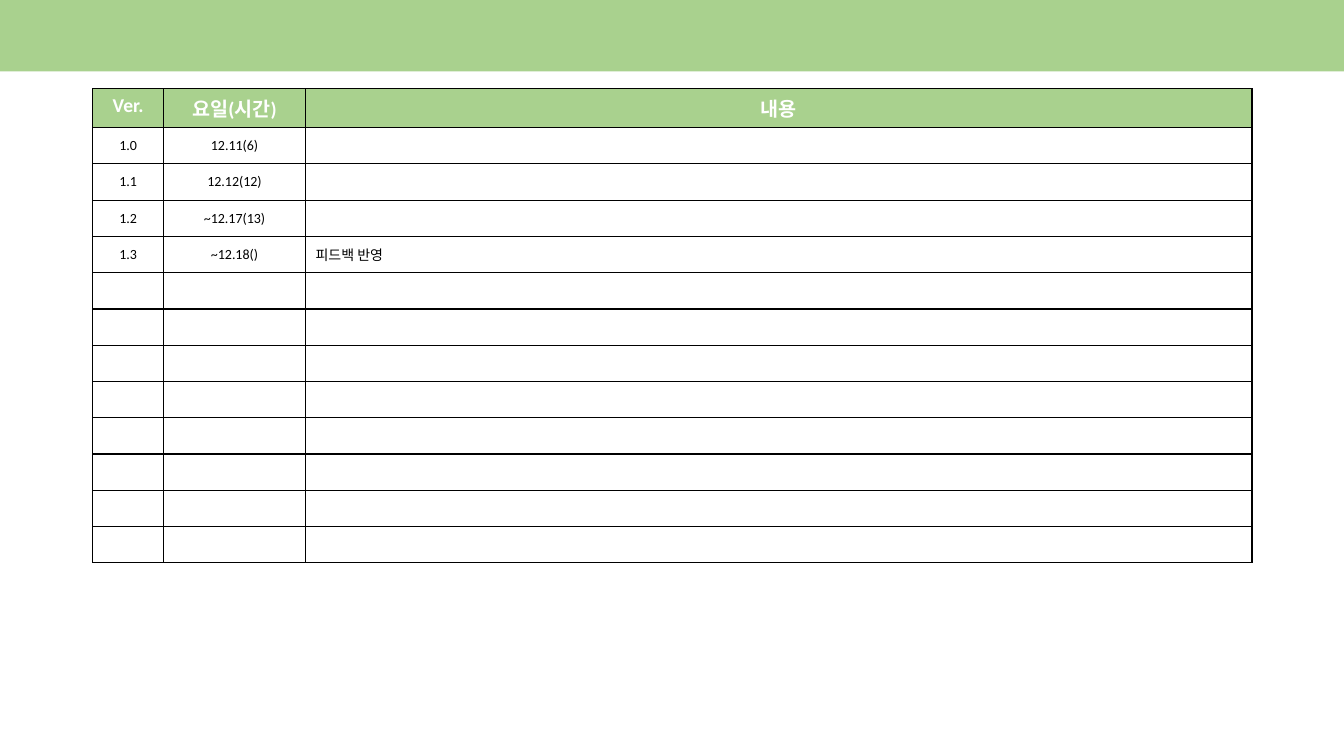
from lxml import etree
from pptx import Presentation
from pptx.dml.color import RGBColor
from pptx.enum.shapes import MSO_SHAPE
from pptx.enum.text import MSO_ANCHOR, PP_ALIGN
from pptx.oxml.ns import qn
from pptx.util import Cm, Pt

RECTANGLE = MSO_SHAPE.RECTANGLE
TOP, MIDDLE = MSO_ANCHOR.TOP, MSO_ANCHOR.MIDDLE
LEFT, CENTER = PP_ALIGN.LEFT, PP_ALIGN.CENTER

COLORS = {"green": "A9D18E", "white": "FFFFFF", "black": "000000"}
FONT = "Calibri"
BLANK_LAYOUT = 6

HEADERS = ("Ver.", "요일(시간)", "내용")
VERSIONS = (
    ("1.0", "12.11(6)", ""),
    ("1.1", "12.12(12)", ""),
    ("1.2", "~12.17(13)", ""),
    ("1.3", "~12.18()", "피드백 반영"),
)
BODY_ROWS = 12
COLUMN_WIDTHS = (1.78, 3.58, 23.85)
HEADER_HEIGHT = Cm(0.97)


def color(name):
    return RGBColor.from_string(COLORS[name])


def add_header_band(slide, left, top, width, height):
    band = slide.shapes.add_shape(RECTANGLE, left, top, width, height)
    band.shadow.inherit = False
    band.fill.solid()
    band.fill.fore_color.rgb = color("green")
    band.line.fill.background()


def add_borders(cell):
    properties = cell._tc.get_or_add_tcPr()
    for side in ("a:lnL", "a:lnR", "a:lnT", "a:lnB"):
        line = etree.SubElement(properties, qn(side), w=str(Pt(1)))
        fill = etree.SubElement(line, qn("a:solidFill"))
        etree.SubElement(fill, qn("a:srgbClr"), val=COLORS["black"])


def format_cell(cell, text, is_header, alignment):
    add_borders(cell)
    cell.fill.solid()
    cell.fill.fore_color.rgb = color("green" if is_header else "white")
    cell.vertical_anchor = TOP if is_header else MIDDLE
    cell.text_frame.text = text
    paragraph = cell.text_frame.paragraphs[0]
    paragraph.alignment = alignment
    size = 14 if is_header else 10
    for run in paragraph.runs:
        run.font.name = FONT
        run.font.size = Pt(size)
        run.font.bold = is_header
        run.font.color.rgb = color("white" if is_header else "black")
    if not text:
        # An empty cell keeps its row low only with a small end mark.
        etree.SubElement(paragraph._p, qn("a:endParaRPr"), sz=str(size * 100))


def add_version_table(slide, left, top, width, height):
    empty_rows = ((("",) * len(HEADERS)),) * (BODY_ROWS - len(VERSIONS))
    rows = (HEADERS,) + VERSIONS + empty_rows
    table = slide.shapes.add_table(
        len(rows), len(HEADERS), left, top, width, height).table
    table.first_row = False
    table.horz_banding = False
    for column, share in zip(table.columns, COLUMN_WIDTHS):
        column.width = int(width * share / sum(COLUMN_WIDTHS))
    body_height = (height - HEADER_HEIGHT) // BODY_ROWS
    for row_index, texts in enumerate(rows):
        is_header = row_index == 0
        table.rows[row_index].height = HEADER_HEIGHT if is_header else body_height
        for column_index, text in enumerate(texts):
            is_content = column_index == len(HEADERS) - 1 and not is_header
            format_cell(table.cell(row_index, column_index), text, is_header,
                        LEFT if is_content else CENTER)


def main():
    presentation = Presentation()
    presentation.slide_width = Cm(33.87)
    presentation.slide_height = Cm(19.05)
    slide = presentation.slides.add_slide(presentation.slide_layouts[BLANK_LAYOUT])
    add_header_band(slide, 0, 0, presentation.slide_width, Cm(1.8))
    add_version_table(slide, Cm(2.34), Cm(2.24), Cm(29.21), Cm(11.94))
    presentation.save("out.pptx")


if __name__ == "__main__":
    main()
